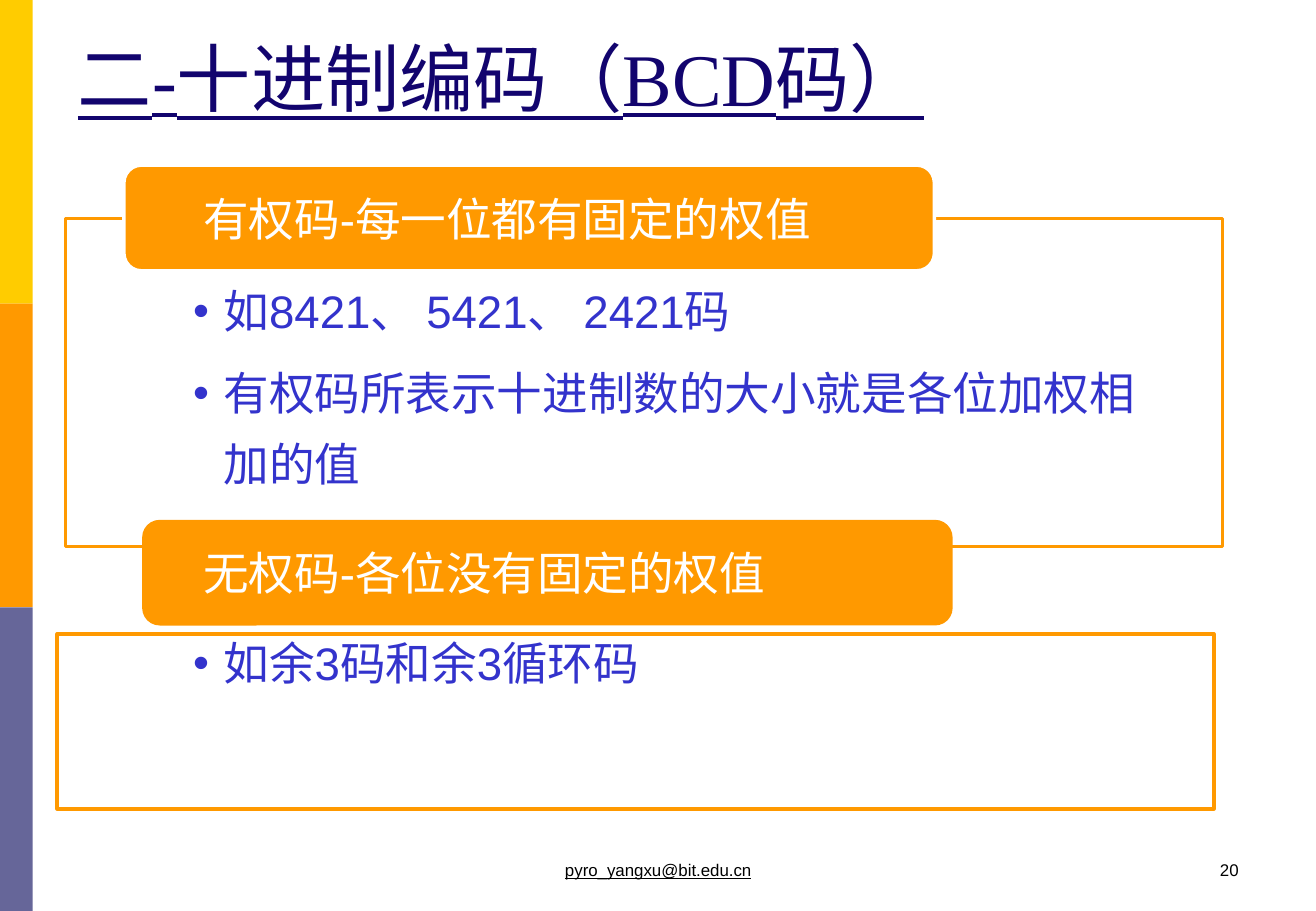
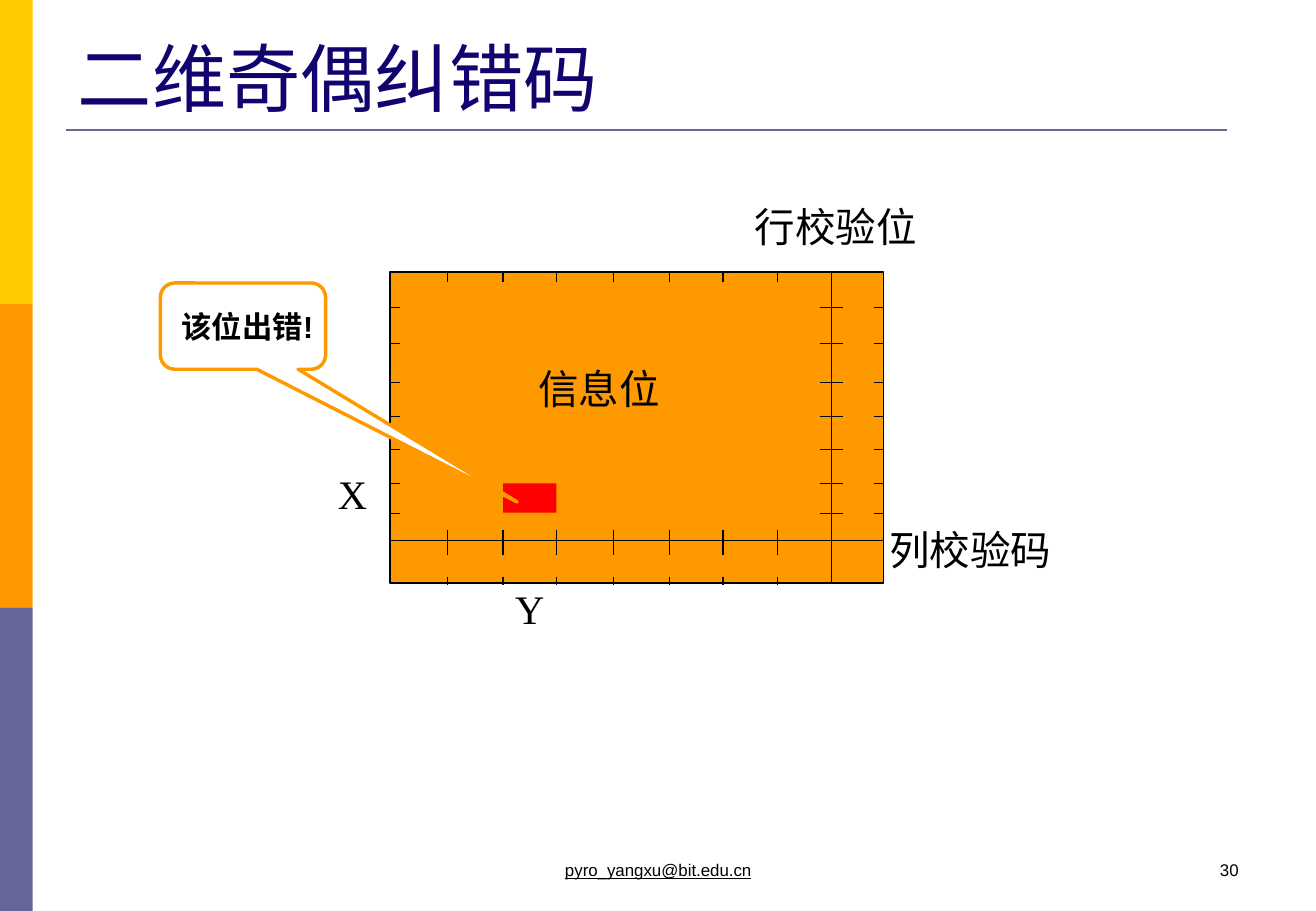
"""Build two slides on BCD codes and two-dimensional parity."""
from dataclasses import dataclass

from lxml import etree
from pptx import Presentation
from pptx.dml.color import RGBColor
from pptx.enum.shapes import MSO_CONNECTOR, MSO_SHAPE
from pptx.enum.text import MSO_ANCHOR, PP_ALIGN
from pptx.oxml.ns import qn
from pptx.util import Inches, Pt

RECTANGLE = MSO_SHAPE.RECTANGLE
ROUNDED = MSO_SHAPE.ROUNDED_RECTANGLE
CALLOUT = MSO_SHAPE.ROUNDED_RECTANGULAR_CALLOUT
STRAIGHT = MSO_CONNECTOR.STRAIGHT
TOP = MSO_ANCHOR.TOP
MIDDLE = MSO_ANCHOR.MIDDLE
LEFT = PP_ALIGN.LEFT


@dataclass(frozen=True)
class Theme:
    yellow: str = "FFCC00"
    orange: str = "FF9900"
    slate: str = "666699"
    navy: str = "12046E"
    blue: str = "3333CC"
    red: str = "FF0000"
    white: str = "FFFFFF"
    black: str = "000000"
    title_size: int = 44
    body_size: int = 27
    label_size: int = 24
    callout_size: int = 18
    footer_size: int = 10
    frame_width: float = 2.04
    rule_width: float = 1.56
    grid_width: float = 0.72
    sans: str = "Arial"
    serif: str = "Times New Roman"
    east_asian: str = "Noto Sans CJK SC"


class Deck:
    def __init__(self, theme):
        self.theme = theme
        self.presentation = Presentation()
        self.presentation.slide_width = Inches(10.83)
        self.presentation.slide_height = Inches(7.5)
        self.slide = None

    def new_slide(self, title, number, underline=False):
        theme = self.theme
        self.slide = self.presentation.slides.add_slide(self.presentation.slide_layouts[6])
        for index, color in enumerate((theme.yellow, theme.orange, theme.slate)):
            self.box(RECTANGLE, 0, 2.5 * index, 0.27, 2.5, fill=color)
        self.text(0.64, 0.27, 9.48, 0.76, [title], theme.title_size, theme.navy,
                  theme.serif, underline=underline)
        self.text(4.65, 7.08, 1.6, 0.18, ["pyro_yangxu@bit.edu.cn"], theme.footer_size,
                  theme.black, underline=True)
        self.text(10.04, 7.08, 0.3, 0.18, [number], theme.footer_size, theme.black)

    def box(self, kind, left, top, width, height, fill=None, line=None, line_width=None):
        shape = self.slide.shapes.add_shape(
            kind, Inches(left), Inches(top), Inches(width), Inches(height))
        shape.shadow.inherit = False
        if fill:
            shape.fill.solid()
            shape.fill.fore_color.rgb = RGBColor.from_string(fill)
        else:
            shape.fill.background()
        if line:
            shape.line.color.rgb = RGBColor.from_string(line)
            shape.line.width = Pt(line_width or self.theme.frame_width)
        else:
            shape.line.fill.background()
        return shape

    def line(self, x1, y1, x2, y2, color, width):
        connector = self.slide.shapes.add_connector(
            STRAIGHT, Inches(x1), Inches(y1), Inches(x2), Inches(y2))
        connector.line.color.rgb = RGBColor.from_string(color)
        connector.line.width = Pt(width)
        etree.SubElement(connector._element.spPr, qn("a:effectLst"))

    def text(self, left, top, width, height, lines, size, color, font=None, **style):
        shape = self.slide.shapes.add_textbox(
            Inches(left), Inches(top), Inches(width), Inches(height))
        self.fill_text(shape, lines, size, color, font, **style)

    def fill_text(self, shape, lines, size, color, font=None, inset=0, anchor=TOP,
                  bold=False, underline=False, bullets=False, wrap=True):
        frame = shape.text_frame
        frame.word_wrap = wrap
        frame.vertical_anchor = anchor
        frame.margin_left = Inches(inset)
        frame.margin_right = frame.margin_top = frame.margin_bottom = 0
        for index, line in enumerate(lines):
            paragraph = frame.add_paragraph() if index else frame.paragraphs[0]
            paragraph.text = line
            paragraph.alignment = LEFT
            if index:
                paragraph.space_before = Pt(6.8)
                paragraph.line_spacing = 1.29
            if bullets:
                self.bullet(paragraph)
            self.style(paragraph, size, color, font or self.theme.sans, bold, underline)

    def bullet(self, paragraph):
        properties = paragraph._p.get_or_add_pPr()
        properties.set("marL", str(Inches(0.26)))
        properties.set("indent", str(-Inches(0.25)))
        etree.SubElement(properties, qn("a:buFont"), typeface=self.theme.sans)
        etree.SubElement(properties, qn("a:buChar"), char="•")

    def style(self, paragraph, size, color, name, bold, underline):
        font = paragraph.font
        font.name = name
        font.size = Pt(size)
        font.bold = bold
        font.underline = underline
        font.color.rgb = RGBColor.from_string(color)
        defaults = paragraph._p.pPr.find(qn("a:defRPr"))
        etree.SubElement(defaults, qn("a:ea"), typeface=self.theme.east_asian)

    def heading(self, left, top, text, line=None):
        shape = self.box(ROUNDED, left, top, 6.67, 0.87, fill=self.theme.orange, line=line)
        self.fill_text(shape, [text], self.theme.body_size, self.theme.white,
                       inset=1.63 - left, anchor=MIDDLE)

    def bullets(self, top, height, lines):
        self.text(1.58, top, 7.78, height, lines, self.theme.body_size,
                  self.theme.blue, bullets=True)

    def label(self, left, top, text):
        self.text(left, top, 1.4, 0.42, [text], self.theme.label_size,
                  self.theme.black, self.theme.serif)

    def grid_line(self, x1, y1, x2, y2):
        self.line(x1, y1, x2, y2, self.theme.black, self.theme.grid_width)


def build_bcd_slide(deck):
    theme = deck.theme
    deck.new_slide("二-十进制编码（BCD码）", "20", underline=True)
    deck.box(RECTANGLE, 0.54, 1.8, 9.52, 2.7, line=theme.orange)
    deck.heading(1.02, 1.36, "有权码-每一位都有固定的权值", line=theme.white)
    deck.box(RECTANGLE, 0.47, 5.22, 9.52, 1.44, line=theme.orange)
    deck.heading(1.17, 4.28, "无权码-各位没有固定的权值")
    deck.bullets(2.33, 1.8, ["如8421、 5421、 2421码",
                             "有权码所表示十进制数的大小就是各位加权相加的值"])
    deck.bullets(5.23, 0.46, ["如余3码和余3循环码"])


def build_parity_slide(deck):
    theme = deck.theme
    deck.new_slide("二维奇偶纠错码", "30")
    deck.line(0.54, 1.07, 10.1, 1.07, theme.slate, theme.rule_width)

    left, top, right, bottom = 3.21, 2.24, 7.27, 4.8
    check_column, check_row = 6.84, 4.45
    deck.box(RECTANGLE, left, top, right - left, bottom - top, fill=theme.orange,
             line=theme.black, line_width=theme.grid_width)
    deck.grid_line(check_column, top, check_column, bottom)
    deck.grid_line(left, check_row, right, check_row)
    for x in (3.68, 4.14, 4.58, 5.05, 5.51, 5.95, 6.4):
        for start, length in ((2.25, 0.07), (4.36, 0.21), (4.75, 0.07)):
            deck.grid_line(x, start, x, start + length)
    for y in (2.53, 2.83, 3.15, 3.43, 3.7, 3.98, 4.23):
        for start, length in ((left, 0.08), (6.75, 0.19), (7.19, 0.08)):
            deck.grid_line(start, y, start + length, y)

    deck.box(RECTANGLE, 4.14, 3.98, 0.44, 0.24, fill=theme.red)
    for x, y, text in ((6.21, 1.66, "行校验位"), (4.43, 3, "信息位"), (2.78, 3.86, "X"),
                       (7.32, 4.32, "列校验码"), (4.24, 4.81, "Y")):
        deck.label(x, y, text)

    callout = deck.box(CALLOUT, 1.32, 2.33, 1.36, 0.71, fill=theme.white, line=theme.orange)
    callout.adjustments[0] = 1.66
    callout.adjustments[1] = 2.04
    deck.fill_text(callout, ["该位出错!"], theme.callout_size, theme.black,
                   inset=0.14, anchor=MIDDLE, bold=True, wrap=False)


def main():
    deck = Deck(Theme())
    build_bcd_slide(deck)
    build_parity_slide(deck)
    deck.presentation.save("out.pptx")


if __name__ == "__main__":
    main()
